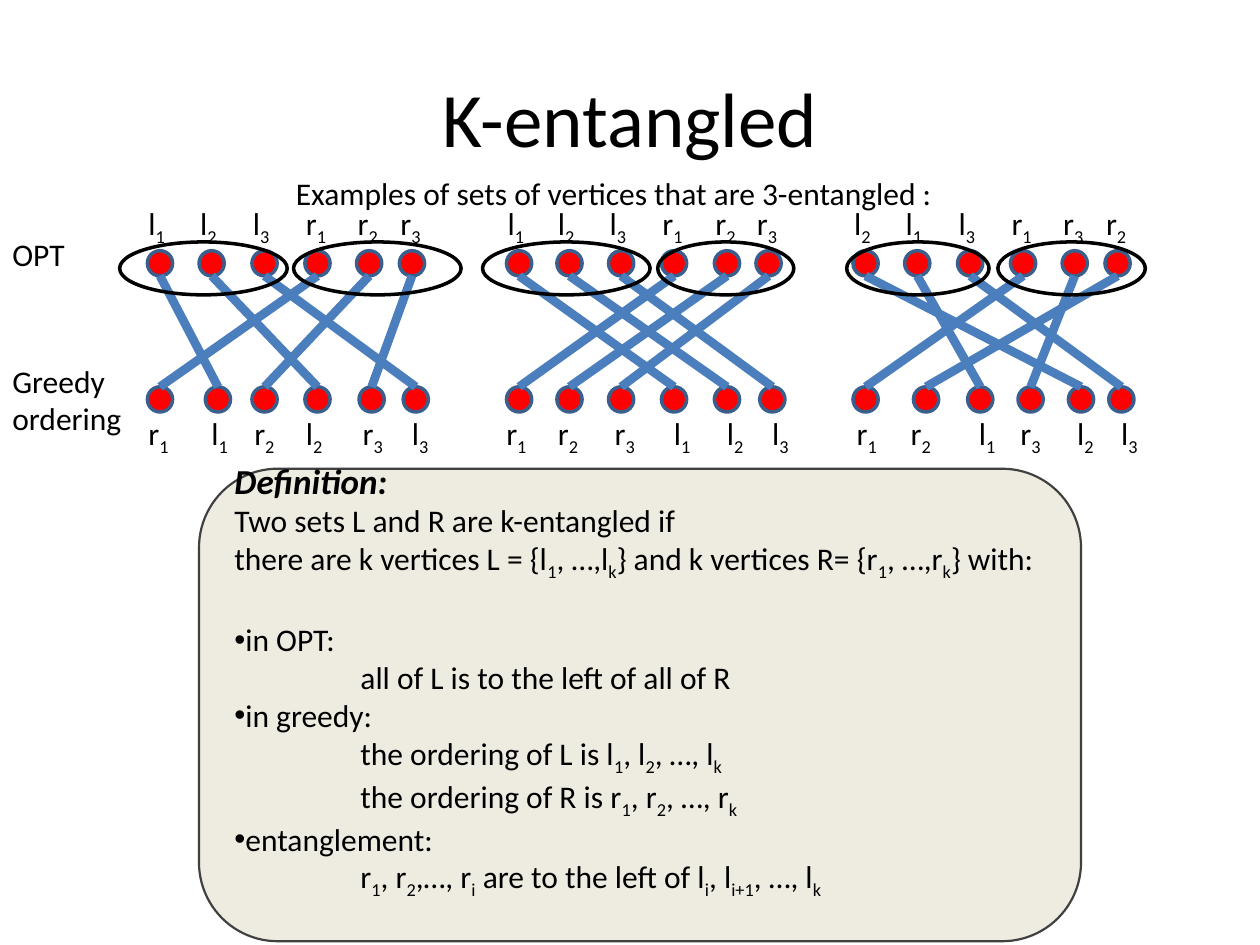
import pptx
import pptx.util
import pptx.dml.color
import pptx.enum.shapes
import pptx.enum.text
from lxml import etree

Inches, Pt = pptx.util.Inches, pptx.util.Pt
SHAPE = pptx.enum.shapes.MSO_SHAPE
ALIGN = pptx.enum.text.PP_ALIGN
ANCHOR = pptx.enum.text.MSO_ANCHOR

# Content: square brackets mark subscripts
TITLE = "K-entangled"
CAPTION = "Examples of sets of vertices that are 3-entangled :"
ROW_NAMES = [("OPT", 1.82, 0.75, 0.4), ("Greedy ordering", 2.82, 1.67, 0.71)]

# opt: vertex -> centre x; greedy: vertex -> (centre x, label left);
# groups: (left, width) of the ovals around L and R
EXAMPLES = [
    {"opt": {"l1": 1.27, "l2": 1.68, "l3": 2.1, "r1": 2.52, "r2": 2.93, "r3": 3.27},
     "greedy": {"r1": (1.27, 1.08), "l1": (1.73, 1.58), "r2": (2.1, 1.92),
                "l2": (2.52, 2.33), "r3": (2.95, 2.78), "l3": (3.3, 3.17)},
     "groups": [(0.95, 1.33), (2.33, 1.33)]},
    {"opt": {"l1": 4.12, "l2": 4.52, "l3": 4.93, "r1": 5.35, "r2": 5.77, "r3": 6.1},
     "greedy": {"r1": (4.12, 3.92), "r2": (4.52, 4.33), "r3": (4.93, 4.78),
                "l1": (5.35, 5.25), "l2": (5.77, 5.67), "l3": (6.13, 6.03)},
     "groups": [(3.83, 1.33), (5.22, 1.08)]},
    {"opt": {"l2": 6.87, "l1": 7.28, "l3": 7.7, "r1": 8.12, "r3": 8.53, "r2": 8.87},
     "greedy": {"r1": (6.87, 6.7), "r2": (7.35, 7.13), "l1": (7.78, 7.67),
                "r3": (8.18, 8.0), "l2": (8.58, 8.45), "l3": (8.9, 8.8)},
     "groups": [(6.72, 1.13), (7.92, 1.17)]},
]

DEFINITION = [
    ("Definition:", {"size": 20, "bold": True, "italic": True}),
    ("Two sets L and R are k-entangled if", {}),
    ("there are k vertices L = {l[1], …,l[k]} and k vertices R= {r[1], …,r[k]} with:", {}),
    ("in OPT:", {"bullet": True, "before": 22}),
    ("all of L is to the left of all of R", {"indent": 1}),
    ("in greedy:", {"bullet": True}),
    ("the ordering of L is l[1], l[2], …, l[k]", {"indent": 1}),
    ("the ordering of R is r[1], r[2], …, r[k]", {"indent": 1}),
    ("entanglement:", {"bullet": True}),
    ("r[1], r[2],…, r[i] are to the left of l[i], l[i+1], …, l[k]", {"indent": 1}),
]

DOT = 0.2
OPT_TOP, GREEDY_TOP = 1.99, 3.07
OPT_LABEL_TOP, GREEDY_LABEL_TOP = 1.57, 3.24
LABEL_SHIFT = 0.19

deck = pptx.Presentation()
deck.slide_width, deck.slide_height = Inches(10), Inches(7.5)
page = deck.slides.add_slide(deck.slide_layouts[6])


def color(value):
    return pptx.dml.color.RGBColor.from_string(value)


def write(para, text, size=18, bold=False, italic=False, align=ALIGN.LEFT,
          bullet=False, indent=0, before=0):
    para.alignment = align
    para.space_before = Pt(before)
    properties = para._p.get_or_add_pPr()
    properties.set("marL", str(Inches(indent)))
    properties.set("indent", "0")
    if bullet:
        etree.SubElement(properties, pptx.oxml.ns.qn("a:buFont"), typeface="Arial")
        etree.SubElement(properties, pptx.oxml.ns.qn("a:buChar"), char="•")
    for index, part in enumerate(text.replace("]", "[").split("[")):
        if not part:
            continue
        span = para.add_run()
        span.text = part
        span.font.name, span.font.size = "Calibri", Pt(size)
        span.font.bold, span.font.italic = bold, italic
        span.font.color.rgb = color("000000")
        if index % 2:
            span.font._element.set("baseline", "-25000")


def add_text(text, left, top, width, height, anchor=ANCHOR.TOP, **style):
    box = page.shapes.add_textbox(*map(Inches, (left, top, width, height)))
    box.text_frame.word_wrap = True
    box.text_frame.vertical_anchor = anchor
    write(box.text_frame.paragraphs[0], text, **style)


def add_shape(kind, left, top, width, height, line, weight, fill=None):
    shape = page.shapes.add_shape(kind, *map(Inches, (left, top, width, height)))
    shape.shadow.inherit = False
    if fill:
        shape.fill.solid()
        shape.fill.fore_color.rgb = color(fill)
    else:
        shape.fill.background()
    shape.line.color.rgb = color(line)
    shape.line.width = Pt(weight)
    return shape


def add_vertex(name, center, top, label_left, label_top):
    add_shape(SHAPE.OVAL, center - DOT / 2, top, DOT, DOT, "3A5F8C", 2, "FF0000")
    add_text(f"{name[0]}[{name[1]}]", label_left, label_top, 0.5, 0.4)


def add_edge(start, end):
    edge = page.shapes.add_connector(
        pptx.enum.shapes.MSO_CONNECTOR.STRAIGHT,
        Inches(start), Inches(OPT_TOP + DOT), Inches(end), Inches(GREEDY_TOP))
    edge.line.color.rgb = color("4B7EBC")
    edge.line.width = Pt(5)
    etree.SubElement(edge._element.spPr, pptx.oxml.ns.qn("a:effectLst"))


# Headings and row names
add_text(TITLE, 0.5, 0.3, 9, 1.25, anchor=ANCHOR.MIDDLE, size=44, align=ALIGN.CENTER)
add_text(CAPTION, 2.25, 1.33, 5.33, 0.4)
for name, top, width, height in ROW_NAMES:
    add_text(name, 0, top, width, height)

# Definition panel
panel = add_shape(SHAPE.ROUNDED_RECTANGLE, 1.58, 3.72, 7, 3.75, "404040", 1.25, "EEECE1")
frame = panel.text_frame
frame.word_wrap = True
frame.vertical_anchor = ANCHOR.MIDDLE
frame.margin_bottom = Inches(0.45)
for index, (text, style) in enumerate(DEFINITION):
    write(frame.add_paragraph() if index else frame.paragraphs[0], text, **style)

# Examples: vertices of both orderings, edges between equal names, group ovals
for example in EXAMPLES:
    opt, greedy = example["opt"], example["greedy"]
    for name, center in opt.items():
        add_vertex(name, center, OPT_TOP, center - LABEL_SHIFT, OPT_LABEL_TOP)
    for name, (center, label_left) in greedy.items():
        add_vertex(name, center, GREEDY_TOP, label_left, GREEDY_LABEL_TOP)
    for name, center in opt.items():
        add_edge(center, greedy[name][0])
    for left, width in example["groups"]:
        add_shape(SHAPE.OVAL, left, 1.92, width, 0.42, "000000", 2)

deck.save("out.pptx")
